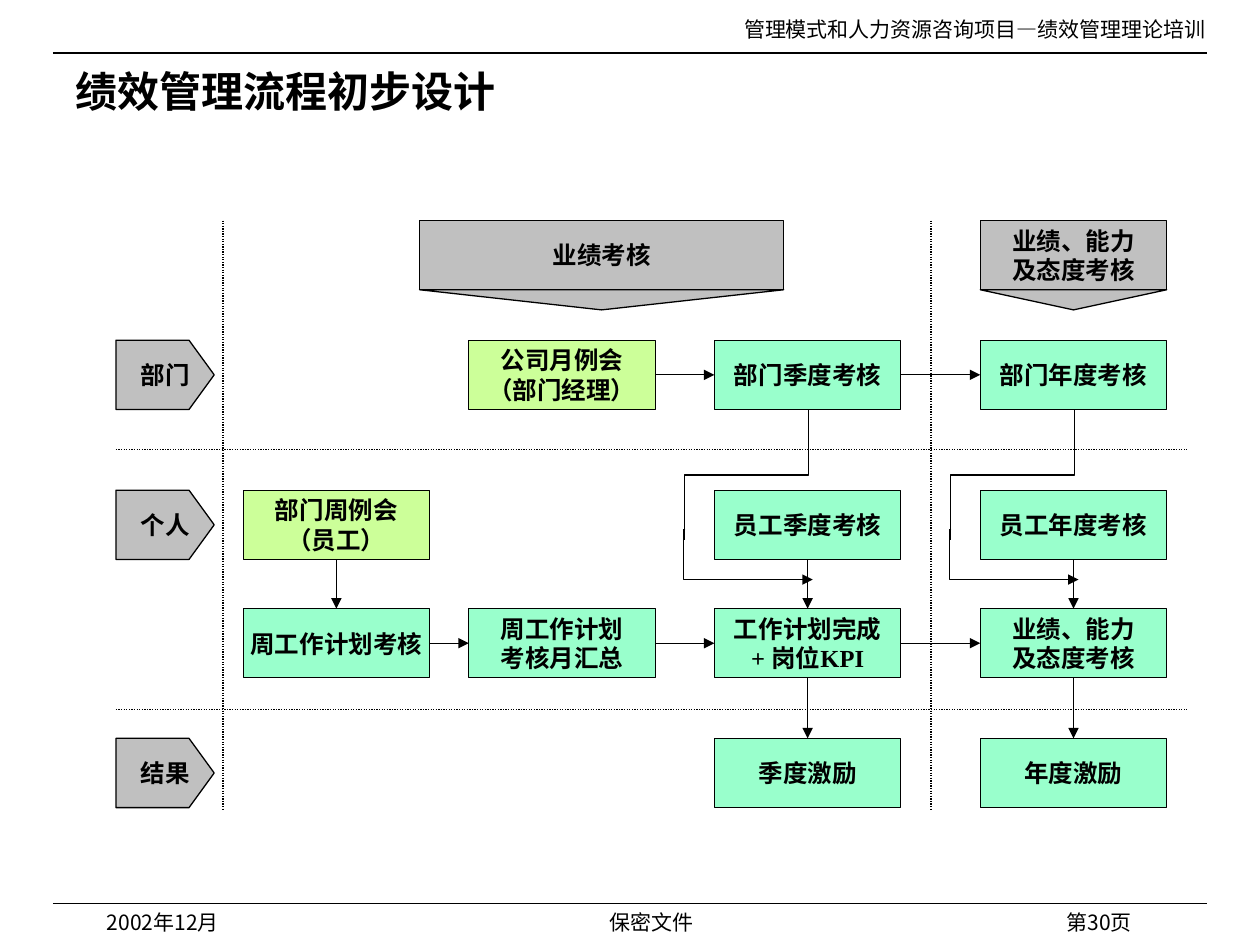
"""Build the performance management process slide."""
from dataclasses import dataclass
from typing import Any, NamedTuple, Optional

from lxml import etree
from pptx import Presentation
from pptx import util as u
from pptx.dml.color import RGBColor
from pptx.enum import dml, shapes, text
from pptx.oxml import ns


@dataclass(frozen=True)
class Theme:
    ink: RGBColor = RGBColor(0, 0, 0)
    grey: RGBColor = RGBColor(0xC0, 0xC0, 0xC0)
    lime: RGBColor = RGBColor(0xCC, 0xFF, 0x99)
    mint: RGBColor = RGBColor(0x99, 0xFF, 0xCC)
    latin: str = "Times New Roman"
    chinese: str = "Noto Sans CJK SC"
    title: u.Pt = u.Pt(24)
    label: u.Pt = u.Pt(14)
    small: u.Pt = u.Pt(12)
    stroke: u.Pt = u.Pt(0.75)


class Area(NamedTuple):
    left: float
    top: float
    width: float
    height: float


class Step(NamedTuple):
    name: str
    column: int
    row: int
    label: str
    fill: RGBColor


class Flow(NamedTuple):
    source: str
    target: str
    begin: int
    end: int


class Caption(NamedTuple):
    label: str
    area: Area
    align: text.PP_ALIGN
    size: u.Pt
    font: str
    bold: bool = False
    anchor: text.MSO_ANCHOR = text.MSO_ANCHOR.TOP


THEME = Theme()
COLUMNS = (1.93, 3.72, 5.67, 7.78)
ROWS = (2.7, 3.89, 4.83, 5.86)
BOX_WIDTH, BOX_HEIGHT = 1.48, 0.55
HEADER_TOP, GRID_BOTTOM = 1.75, 6.42
GRID_LEFT, GRID_RIGHT = 0.92, 9.42
TOP, LEFT, BOTTOM, RIGHT = range(4)

CAPTIONS = (
    Caption("2002年12月", Area(0.75, 7.17, 2.08, 0.25), text.PP_ALIGN.LEFT, THEME.small, THEME.chinese),
    Caption("保密文件", Area(2.92, 7.17, 4.5, 0.25), text.PP_ALIGN.CENTER, THEME.small, THEME.chinese),
    Caption("第30页", Area(7, 7.17, 2.08, 0.17), text.PP_ALIGN.RIGHT, THEME.small, THEME.chinese),
    Caption("管理模式和人力资源咨询项目—绩效管理理论培训", Area(5, 0.08, 4.67, 0.3),
            text.PP_ALIGN.RIGHT, THEME.small, THEME.latin),
    Caption("绩效管理流程初步设计", Area(0.5, 0.47, 8.92, 0.5), text.PP_ALIGN.LEFT,
            THEME.title, THEME.latin, True, text.MSO_ANCHOR.MIDDLE),
)
HEADERS = (
    ("业绩考核", 3.33, 2.89),
    ("业绩、能力\n及态度考核", COLUMNS[3], BOX_WIDTH),
)
STAGES = (("部门", ROWS[0]), ("个人", ROWS[1]), ("结果", ROWS[3]))
STEPS = (
    Step("company meeting", 1, 0, "公司月例会\n（部门经理）", THEME.lime),
    Step("team meeting", 0, 1, "部门周例会\n（员工）", THEME.lime),
    Step("team quarter", 2, 0, "部门季度考核", THEME.mint),
    Step("team year", 3, 0, "部门年度考核", THEME.mint),
    Step("staff quarter", 2, 1, "员工季度考核", THEME.mint),
    Step("staff year", 3, 1, "员工年度考核", THEME.mint),
    Step("weekly plan", 0, 2, "周工作计划考核", THEME.mint),
    Step("monthly summary", 1, 2, "周工作计划\n考核月汇总", THEME.mint),
    Step("plan and KPI", 2, 2, "工作计划完成\n+ 岗位KPI", THEME.mint),
    Step("full review", 3, 2, "业绩、能力\n及态度考核", THEME.mint),
    Step("quarter reward", 2, 3, "季度激励", THEME.mint),
    Step("year reward", 3, 3, "年度激励", THEME.mint),
)
FLOWS = (
    Flow("company meeting", "team quarter", RIGHT, LEFT),
    Flow("team quarter", "team year", RIGHT, LEFT),
    Flow("weekly plan", "monthly summary", RIGHT, LEFT),
    Flow("monthly summary", "plan and KPI", RIGHT, LEFT),
    Flow("plan and KPI", "full review", RIGHT, LEFT),
    Flow("team meeting", "weekly plan", BOTTOM, TOP),
    Flow("staff quarter", "plan and KPI", BOTTOM, TOP),
    Flow("staff year", "full review", BOTTOM, TOP),
    Flow("plan and KPI", "quarter reward", BOTTOM, TOP),
    Flow("full review", "year reward", BOTTOM, TOP),
)


def apply(target: Any, values: dict[str, Any]) -> None:
    """Set each named attribute on the target."""
    for name, value in values.items():
        setattr(target, name, value)


def lengths(*values: float) -> list[u.Length]:
    """Convert inches to slide lengths."""
    return [u.Inches(value) for value in values]


def write(box: Any, label: str, size: u.Pt, font: str, bold: bool, align: text.PP_ALIGN) -> None:
    """Fill a box with one paragraph for each line of the label."""
    for index, line in enumerate(label.split("\n")):
        frame = box.text_frame
        para = frame.add_paragraph() if index else frame.paragraphs[0]
        para.alignment = align
        span = para.add_run()
        span.text = line
        apply(span.font, {"size": size, "name": font, "bold": bold})
        span.font.color.rgb = THEME.ink
        east = etree.SubElement(span.font._element, ns.qn("a:ea"))
        east.set("typeface", THEME.chinese)


def add_caption(page: Any, caption: Caption) -> None:
    """Add a wrapped text box."""
    box = page.shapes.add_textbox(*lengths(*caption.area))
    apply(box.text_frame, {"word_wrap": True, "vertical_anchor": caption.anchor})
    write(box, caption.label, caption.size, caption.font, caption.bold, caption.align)


def style_box(box: Any, fill: RGBColor, label: str = "") -> Any:
    """Give a shape its fill, outline and centred label."""
    box.shadow.inherit = False
    box.fill.solid()
    box.fill.fore_color.rgb = fill
    box.line.color.rgb = THEME.ink
    box.line.width = THEME.stroke
    if label:
        apply(box.text_frame, {"word_wrap": False, "vertical_anchor": text.MSO_ANCHOR.MIDDLE})
        write(box, label, THEME.label, THEME.latin, True, text.PP_ALIGN.CENTER)
    return box


def add_box(page: Any, area: Area, fill: RGBColor, label: str = "",
            kind: shapes.MSO_SHAPE = shapes.MSO_SHAPE.RECTANGLE) -> Any:
    """Add a filled preset shape."""
    return style_box(page.shapes.add_shape(kind, *lengths(*area)), fill, label)


def add_stage(page: Any, label: str, top: float) -> None:
    """Add a row label that points right."""
    shoulder, tip, bottom = GRID_LEFT + 0.58, GRID_LEFT + 0.78, top + BOX_HEIGHT
    outline = page.shapes.build_freeform(*lengths(GRID_LEFT, top))
    corners = ((shoulder, top), (tip, top + BOX_HEIGHT / 2), (shoulder, bottom), (GRID_LEFT, bottom))
    outline.add_line_segments([lengths(*corner) for corner in corners], close=True)
    style_box(outline.convert_to_shape(), THEME.grey, label)


def add_line(page: Any, ends: tuple[float, float, float, float], arrow: bool = False,
             dash: Optional[dml.MSO_LINE] = None, bend: Optional[int] = None) -> Any:
    """Add a straight line, or an elbow when a bend is given."""
    kind = shapes.MSO_CONNECTOR.STRAIGHT if bend is None else shapes.MSO_CONNECTOR.ELBOW
    line = page.shapes.add_connector(kind, *lengths(*ends))
    apply(line.line, {"width": THEME.stroke, "dash_style": dash})
    line.line.color.rgb = THEME.ink
    properties = line.element.spPr
    if arrow:
        etree.SubElement(properties.find(ns.qn("a:ln")), ns.qn("a:tailEnd")).set("type", "triangle")
    if bend is not None:
        guide = etree.SubElement(properties.find(".//" + ns.qn("a:avLst")), ns.qn("a:gd"))
        guide.set("name", "adj1")
        guide.set("fmla", f"val {bend}")
    etree.SubElement(properties, ns.qn("a:effectLst"))
    return line


def add_detour(page: Any, column: float) -> None:
    """Lead a team review around the staff review below it."""
    drop = add_line(page, (column - 0.26, 3.28, column + 0.77, 4.26), bend=50000)
    drop.element.spPr.find(ns.qn("a:xfrm")).set("rot", str(90 * 60000))
    add_line(page, (column - 0.23, 4.2, column + 0.78, 4.6), arrow=True, bend=-1300)


def main() -> None:
    """Build and save the deck."""
    deck = Presentation()
    apply(deck, {"slide_width": u.Inches(10), "slide_height": u.Inches(7.5)})
    page = deck.slides.add_slide(deck.slide_layouts[6])
    for height in (0.42, 7.17):
        add_line(page, (0.42, height, 9.58, height))
    for caption in CAPTIONS:
        add_caption(page, caption)
    for height in (3.57, 5.63):
        add_line(page, (GRID_LEFT, height, GRID_RIGHT, height), dash=dml.MSO_LINE.ROUND_DOT)
    for across in (1.77, 7.39):
        add_line(page, (across, HEADER_TOP, across, GRID_BOTTOM), dash=dml.MSO_LINE.ROUND_DOT)
    for label, left, width in HEADERS:
        add_box(page, Area(left, HEADER_TOP, width, BOX_HEIGHT), THEME.grey, label)
        add_box(page, Area(left, HEADER_TOP + BOX_HEIGHT, width, 0.16), THEME.grey,
                kind=shapes.MSO_SHAPE.FLOWCHART_MERGE)
    for label, top in STAGES:
        add_stage(page, label, top)
    boxes = {
        step.name: add_box(page, Area(COLUMNS[step.column], ROWS[step.row], BOX_WIDTH, BOX_HEIGHT),
                           step.fill, step.label)
        for step in STEPS
    }
    for flow in FLOWS:
        arrow = add_line(page, (0, 0, 1, 1), arrow=True)
        arrow.begin_connect(boxes[flow.source], flow.begin)
        arrow.end_connect(boxes[flow.target], flow.end)
    for column in COLUMNS[2:]:
        add_detour(page, column)
    deck.save("out.pptx")


if __name__ == "__main__":
    main()
